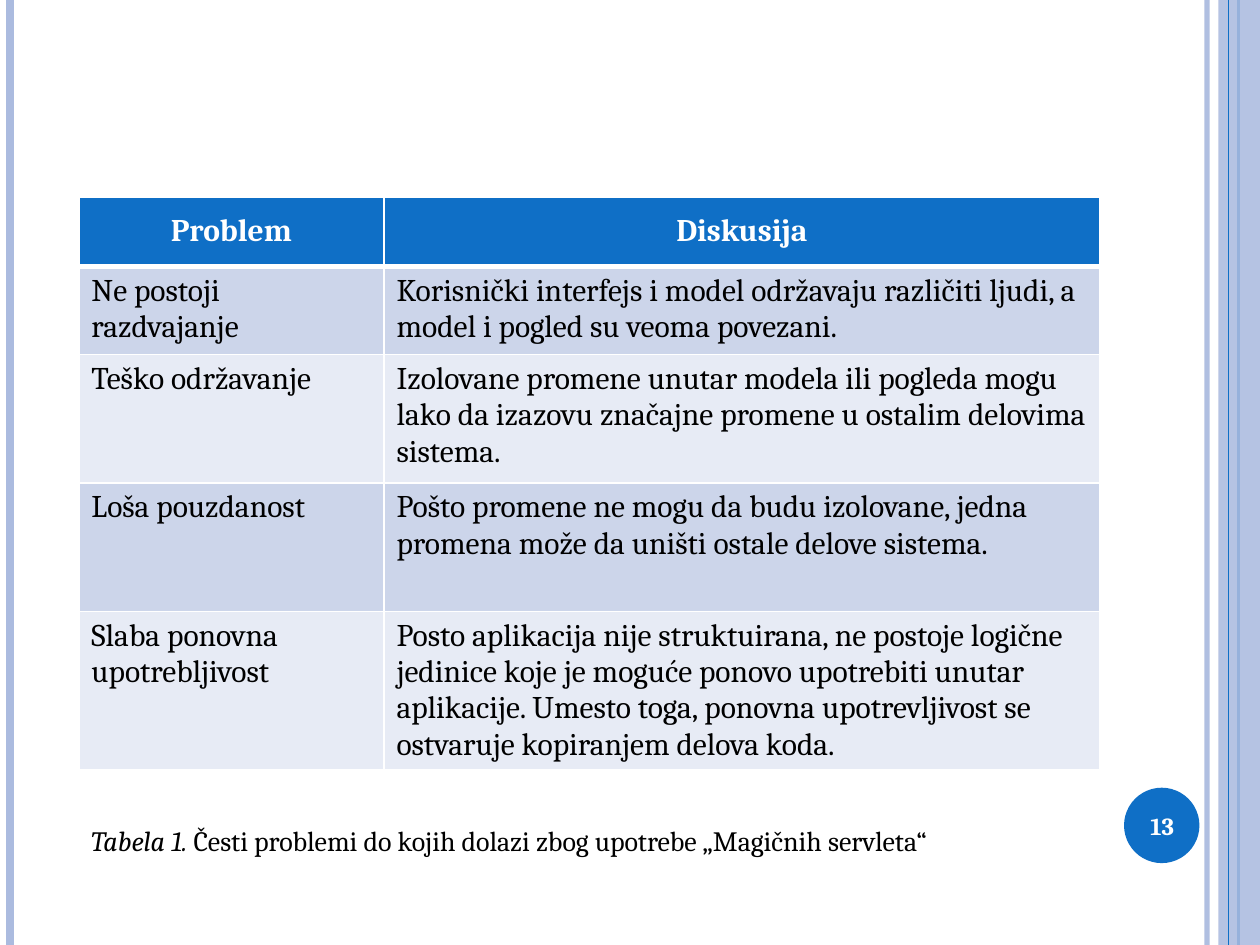
import dataclasses

import pptx
import pptx.dml.color
import pptx.enum.shapes
import pptx.enum.text
import pptx.oxml
import pptx.oxml.ns
import pptx.util

Cm = pptx.util.Cm
Pt = pptx.util.Pt
ALIGN = pptx.enum.text.PP_ALIGN
ANCHOR = pptx.enum.text.MSO_ANCHOR
SHAPE = pptx.enum.shapes.MSO_SHAPE
WIDE, HIGH = 25.4, 19.05


@dataclasses.dataclass(frozen=True)
class Theme:
    font: str = "Cambria"
    blue: str = "0F6FC6"
    pale: str = "ABBBDF"
    odd: str = "CCD5EA"
    even: str = "E7EBF5"
    white: str = "FFFFFF"
    black: str = "000000"
    body: int = 18
    note: int = 16
    page: int = 14


THEME = Theme()

# centre, colour, width in points, opacity in percent
BARS_BACK = [
    (24.33, THEME.pale, 3, 93),
    (0.2, THEME.pale, 4.5, 100),
    (24.97, THEME.blue, 1.5, 100),
]
BAR_FRONT = (24.77, THEME.blue, 0.75, 100)

COLS = [6.15, 14.43]
ROWS = [1.4, 1.78, 2.59, 2.59, 2.95]
CELLS = [
    ("Problem", "Diskusija"),
    ("Ne postoji razdvajanje",
     "Korisnički interfejs i model održavaju različiti ljudi, "
     "a model i pogled su veoma povezani."),
    ("Teško održavanje",
     "Izolovane promene unutar modela ili pogleda mogu lako da izazovu "
     "značajne promene u ostalim delovima sistema."),
    ("Loša pouzdanost",
     "Pošto promene ne mogu da budu izolovane, jedna promena može da "
     "uništi ostale delove sistema."),
    ("Slaba ponovna upotrebljivost",
     "Posto aplikacija nije struktuirana, ne postoje logične jedinice koje "
     "je moguće ponovo upotrebiti unutar aplikacije. Umesto toga, ponovna "
     "upotrevljivost se ostvaruje kopiranjem delova koda."),
]


def rgb(code):
    return pptx.dml.color.RGBColor.from_string(code)


def add_xml(node, tag, **attrs):
    child = pptx.oxml.ns.qn(tag)
    child = node.makeelement(child, attrs)
    node.append(child)
    return child


def fade(fill, part):
    """Set the opacity of a solid fill, in percent."""
    if part < 100:
        color = fill._xPr.find(".//" + pptx.oxml.ns.qn("a:srgbClr"))
        add_xml(color, "a:alpha", val=str(part * 1000))


def add_run(para, text, size, color, bold=False, slant=False):
    run = para.add_run()
    run.text = text
    font = run.font
    font.name, font.size = THEME.font, Pt(size)
    font.bold, font.italic = bold, slant
    font.color.rgb = rgb(color)


def add_bar(slide, x, color, width, part):
    bar = slide.shapes.add_connector(
        pptx.enum.shapes.MSO_CONNECTOR.STRAIGHT, Cm(x), 0, Cm(x), Cm(HIGH))
    bar.line.width = Pt(width)
    bar.line.color.rgb = rgb(color)
    fade(bar.line.fill, part)
    add_xml(bar._element.spPr, "a:effectLst")


def add_fill(slide, kind, box, color, part=100):
    shape = slide.shapes.add_shape(kind, *map(Cm, box))
    shape.shadow.inherit = False
    shape.fill.solid()
    shape.fill.fore_color.rgb = rgb(color)
    fade(shape.fill, part)
    shape.line.fill.background()


def add_text(slide, box, anchor=ANCHOR.TOP, align=ALIGN.LEFT):
    """Add a wrapping text box and return its first paragraph."""
    frame = slide.shapes.add_textbox(*map(Cm, box)).text_frame
    frame.word_wrap = True
    frame.vertical_anchor = anchor
    para = frame.paragraphs[0]
    para.alignment = align
    return para


def add_edges(cell, top, base):
    props = cell._tc.get_or_add_tcPr()
    for side, width in zip("LRTB", (1, 1, top, base)):
        edge = add_xml(props, "a:ln" + side, w=str(Pt(width)))
        fill = add_xml(edge, "a:solidFill")
        add_xml(fill, "a:srgbClr", val=THEME.white)


def fill_cell(cell, text, row):
    head = row == 0
    add_edges(cell, 3 if row == 1 else 1, 3 if head else 1)
    cell.fill.solid()
    shade = THEME.odd if row % 2 else THEME.even
    cell.fill.fore_color.rgb = rgb(THEME.blue if head else shade)
    cell.vertical_anchor = ANCHOR.MIDDLE if head else ANCHOR.TOP
    para = cell.text_frame.paragraphs[0]
    para.alignment = ALIGN.CENTER if head else ALIGN.LEFT
    add_run(para, text, THEME.body, THEME.white if head else THEME.black, head)


def add_grid(slide, left, top):
    table = slide.shapes.add_table(
        len(ROWS), len(COLS), Cm(left), Cm(top),
        Cm(sum(COLS)), Cm(sum(ROWS))).table
    for col, width in zip(table.columns, COLS):
        col.width = Cm(width)
    for i, (height, texts) in enumerate(zip(ROWS, CELLS)):
        table.rows[i].height = Cm(height)
        for j, text in enumerate(texts):
            fill_cell(table.cell(i, j), text, i)


def main():
    deck = pptx.Presentation()
    deck.slide_width, deck.slide_height = Cm(WIDE), Cm(HIGH)
    slide = deck.slides.add_slide(deck.slide_layouts[6])

    for bar in BARS_BACK:
        add_bar(slide, *bar)
    add_fill(slide, SHAPE.RECTANGLE, (24.56, 0, 0.84, HIGH), THEME.pale, 87)
    add_bar(slide, *BAR_FRONT)
    add_fill(slide, SHAPE.OVAL, (22.66, 15.88, 1.52, 1.52), THEME.blue)

    add_grid(slide, 1.59, 3.97)

    note = add_text(slide, (1.59, 16.48, 20.24, 0.94))
    add_run(note, "Tabela 1. ", THEME.note, THEME.black, slant=True)
    add_run(note, "Česti problemi do kojih dolazi zbog upotrebe "
            "„Magičnih servleta“", THEME.note, THEME.black)

    page = add_text(slide, (22.58, 15.93, 1.7, 1.45),
                    ANCHOR.MIDDLE, ALIGN.CENTER)
    add_run(page, "13", THEME.page, THEME.white, bold=True)

    deck.save("out.pptx")


if __name__ == "__main__":
    main()
